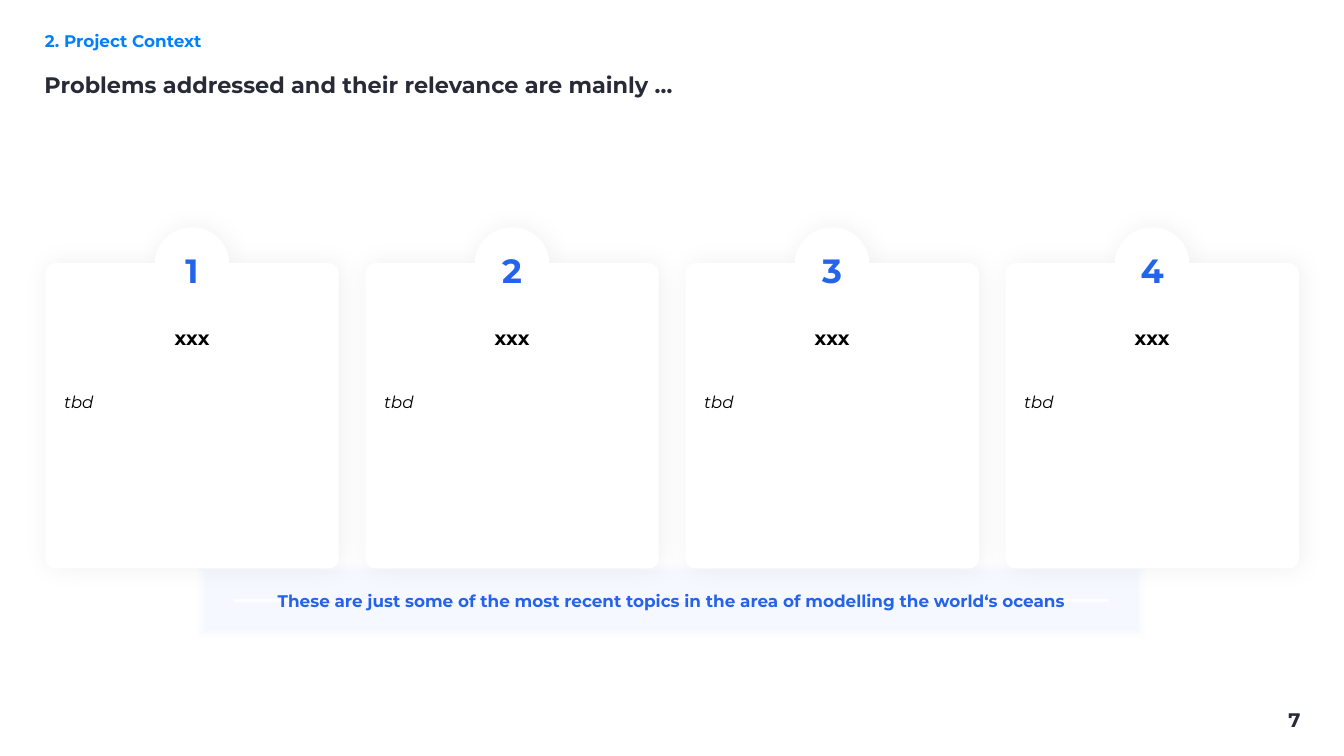
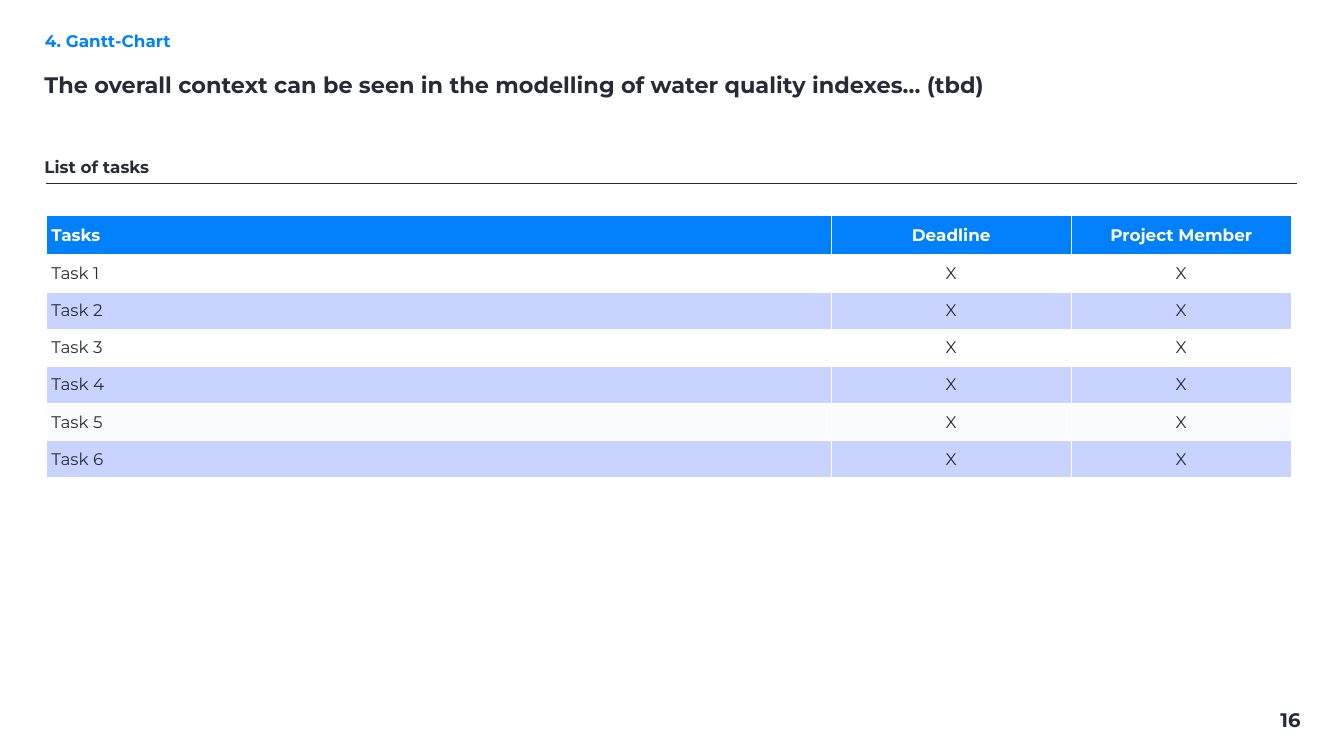
import lxml.etree
import pptx
import pptx.dml.color
import pptx.enum.shapes
import pptx.enum.text
import pptx.oxml
import pptx.oxml.ns
import pptx.util

RGB = pptx.dml.color.RGBColor
ALIGN = pptx.enum.text.PP_ALIGN
ANCHOR = pptx.enum.text.MSO_ANCHOR
SHAPE = pptx.enum.shapes.MSO_SHAPE
Pt = pptx.util.Pt
qn = pptx.oxml.ns.qn

INK = RGB(0x28, 0x2B, 0x37)
BLACK = RGB(0, 0, 0)
WHITE = RGB(0xFF, 0xFF, 0xFF)
AZURE = RGB(0x00, 0x81, 0xFB)
ROYAL = RGB(0x24, 0x63, 0xEC)
MIST = RGB(0xF5, 0xF8, 0xFF)
STRIPE = RGB(0xC8, 0xD3, 0xFF)
PALE = RGB(0xFA, 0xFB, 0xFF)

FONT = "Montserrat"
COLUMNS, ROWS = 80, 45  # square grid cells, three to the inch
CELL = pptx.util.Inches(1) / 3
MARGIN = (0.3, 0.15, 0.3, 0.15)
TIGHT = (0, 0, 0, 0)

CARD_TOP, CARD_PITCH, FIRST_CARD_MIDDLE = 13.53, 19.05, 11.43
BADGE_SIZE = 4.5

# Right half of a card, from the top of its tab, as offsets from there.
CARD_HALF = [(0, 0), (1.08, 0), (1.98, 0.75), (2.19, 1.8), (2.22, 2.13),
             (8.13, 2.13), (8.46, 2.13), (8.73, 2.4), (8.73, 2.73),
             (8.73, 19.71), (8.73, 20.04), (8.46, 20.31), (8.13, 20.31)]
CARD_SEGMENTS = "CLLCLC" + "L" + "CLCLLC"  # C is a curve, L a line


def grid(*cells):
    return [round(c * CELL) for c in cells]


def bend(freeform, segments):
    """Turn each run of three straight steps marked C into one Bezier curve."""
    outline = next(freeform._element.iter(qn("a:path")))
    steps = iter(outline.findall(qn("a:lnTo")))
    for segment in segments:
        step = next(steps)
        if segment == "C":
            step.tag = qn("a:cubicBezTo")
            for follower in (next(steps), next(steps)):
                step.append(follower[0])
                outline.remove(follower)


def write(frame, text, size=24, color=INK, bold=False, italic=False,
          align=ALIGN.LEFT, spacing=None):
    paragraph = frame.paragraphs[0]
    paragraph.alignment = align
    if spacing:
        paragraph.line_spacing = spacing
    run = paragraph.add_run()
    run.text = text
    run.font.name = FONT
    run.font.size = Pt(size)
    run.font.bold = bold
    run.font.italic = italic
    run.font.color.rgb = color


def set_frame(frame, insets, anchor):
    frame.word_wrap = True
    frame.vertical_anchor = anchor
    (frame.margin_left, frame.margin_top,
     frame.margin_right, frame.margin_bottom) = grid(*insets)


def add_border(cell, side, width):
    properties = cell._tc.get_or_add_tcPr()
    line = lxml.etree.SubElement(properties, qn(f"a:ln{side}"), w=str(Pt(width)))
    fill = lxml.etree.SubElement(line, qn("a:solidFill"))
    lxml.etree.SubElement(fill, qn("a:srgbClr"), val=str(WHITE))


class Deck:
    def __init__(self):
        self.presentation = pptx.Presentation()
        self.presentation.slide_width, self.presentation.slide_height = grid(COLUMNS, ROWS)
        self.shapes = None

    def start_slide(self, section, title, number):
        blank = self.presentation.slide_layouts[6]
        self.shapes = self.presentation.slides.add_slide(blank).shapes
        self.text(71.82, 41.97, 5.89, 1.71, number, size=28, bold=True, align=ALIGN.RIGHT)
        self.text(2.22, 1.47, 75.21, 1.71, section, insets=(0.45, 0.15, 0.3, 0.15),
                  anchor=ANCHOR.MIDDLE, color=AZURE, bold=True, spacing=1.2)
        self.text(2.35, 3.6, 75.21, 2.88, title, anchor=ANCHOR.MIDDLE, size=32, bold=True)

    def text(self, x, y, width, height, words, insets=MARGIN, anchor=ANCHOR.TOP, **style):
        box = self.shapes.add_textbox(*grid(x, y, width, height))
        set_frame(box.text_frame, insets, anchor)
        write(box.text_frame, words, **style)

    def plain_shape(self, kind, x, y, width, height):
        shape = self.shapes.add_shape(kind, *grid(x, y, width, height))
        shape.line.fill.background()
        shape.shadow.inherit = False
        return shape

    def glow_band(self, x, y, width, height):
        """Upright bar turned on its side, fading to white at its edge and core."""
        band = self.plain_shape(SHAPE.ROUNDED_RECTANGLE, x, y, width, height)
        band.adjustments[0] = 0.045
        band.rotation = 90
        stops = "".join(
            f'<a:gs pos="{share * 1000}"><a:srgbClr val="{color}"/></a:gs>'
            for share, color in ((1, WHITE), (5, MIST), (70, MIST), (100, WHITE)))
        gradient = pptx.oxml.parse_xml(
            f'<a:gradFill {pptx.oxml.ns.nsdecls("a")} rotWithShape="1">'
            f'<a:gsLst>{stops}</a:gsLst><a:path path="shape">'
            '<a:fillToRect l="50000" t="50000" r="50000" b="50000"/>'
            '</a:path></a:gradFill>')
        band._element.spPr.find(qn("a:prstGeom")).addnext(gradient)

    def card_panel(self, middle):
        """White rounded card with a half-round tab on top and a soft shadow."""
        offsets = CARD_HALF + [(-x, y) for x, y in reversed(CARD_HALF)]
        points = [grid(middle + x, CARD_TOP + y) for x, y in offsets]
        builder = self.shapes.build_freeform(*points[0])
        builder.add_line_segments(points[1:], close=True)
        panel = builder.convert_to_shape()
        bend(panel, CARD_SEGMENTS)
        panel.fill.solid()
        panel.fill.fore_color.rgb = WHITE
        panel.line.fill.background()
        panel.shadow.inherit = False
        panel._element.spPr.find(qn("a:effectLst")).append(pptx.oxml.parse_xml(
            f'<a:outerShdw {pptx.oxml.ns.nsdecls("a")} blurRad="{Pt(35)}" dist="{Pt(3)}" '
            f'dir="0" algn="ctr" rotWithShape="0"><a:srgbClr val="{BLACK}">'
            '<a:alpha val="5000"/></a:srgbClr></a:outerShdw>'))

    def card_content(self, middle, number, heading, body):
        badge = self.plain_shape(SHAPE.OVAL, middle - BADGE_SIZE / 2, CARD_TOP,
                                 BADGE_SIZE, BADGE_SIZE)
        badge.fill.background()
        set_frame(badge.text_frame, (0, 0, 0, 0.6), ANCHOR.MIDDLE)
        write(badge.text_frame, number, size=48, color=ROYAL, bold=True,
              align=ALIGN.CENTER, spacing=1.5)
        self.text(middle - 6.98, 18.72, 13.96, 2.13, heading, insets=TIGHT, size=28,
                  color=BLACK, bold=True, align=ALIGN.CENTER, spacing=1.5)
        self.text(middle - 7.62, 22.5, 15.24, 2.01, body, insets=TIGHT, color=BLACK,
                  italic=True, align=ALIGN.JUSTIFY, spacing=Pt(48))

    def rule(self, x1, x2, y):
        line = self.shapes.add_connector(pptx.enum.shapes.MSO_CONNECTOR.STRAIGHT,
                                         *grid(x1, y, x2, y))
        line.line.color.rgb = INK
        line.line.width = Pt(1.5)
        lxml.etree.SubElement(line._element.spPr, qn("a:effectLst"))

    def table(self, x, y, widths, heights, rows, fills):
        table = self.shapes.add_table(
            len(rows), len(widths), *grid(x, y, sum(widths), sum(heights))).table
        for column, width in zip(table.columns, grid(*widths)):
            column.width = width
        for row, height in zip(table.rows, grid(*heights)):
            row.height = height
        for r, values in enumerate(rows):
            header = r == 0
            for c, value in enumerate(values):
                cell = table.cell(r, c)
                cell.vertical_anchor = ANCHOR.MIDDLE
                for side in "LRTB":
                    thick = (header and side == "B") or (r == 1 and side == "T")
                    add_border(cell, side, 3 if thick else 1)
                cell.fill.solid()
                cell.fill.fore_color.rgb = fills[r]
                write(cell.text_frame, value, color=WHITE if header else INK, bold=header,
                      align=ALIGN.CENTER if c else ALIGN.LEFT)


def build_problems(deck):
    deck.start_slide("2. Project Context",
                     "Problems addressed and their relevance are mainly …", "7")
    deck.glow_band(37.59, 7.41, 4.71, 56.67)
    deck.text(9.06, 35.01, 61.77, 1.5,
              "These are just some of the most recent topics in the area of "
              "modelling the world‘s oceans",
              color=ROYAL, bold=True, align=ALIGN.CENTER)
    middles = [FIRST_CARD_MIDDLE + i * CARD_PITCH for i in range(4)]
    for middle in middles:
        deck.card_panel(middle)
    for number, middle in enumerate(middles, 1):
        deck.card_content(middle, str(number), "xxx", "tbd")


def build_tasks(deck):
    deck.start_slide(
        "4. Gantt-Chart",
        "The overall context can be seen in the modelling of water quality indexes… (tbd)",
        "16")
    deck.text(2.35, 8.5, 75, 2.88, "List of tasks", anchor=ANCHOR.MIDDLE, bold=True)
    deck.rule(2.76, 77.19, 10.92)
    tasks = [(f"Task {n}", "X", "X") for n in range(1, 7)]
    deck.table(2.76, 12.84, widths=(46.71, 14.3, 13.08), heights=[2.34] + [2.21] * 6,
               rows=[("Tasks", "Deadline", "Project Member")] + tasks,
               fills=(AZURE, WHITE, STRIPE, WHITE, STRIPE, PALE, STRIPE))


def main():
    deck = Deck()
    build_problems(deck)
    build_tasks(deck)
    deck.presentation.save("out.pptx")


if __name__ == "__main__":
    main()
